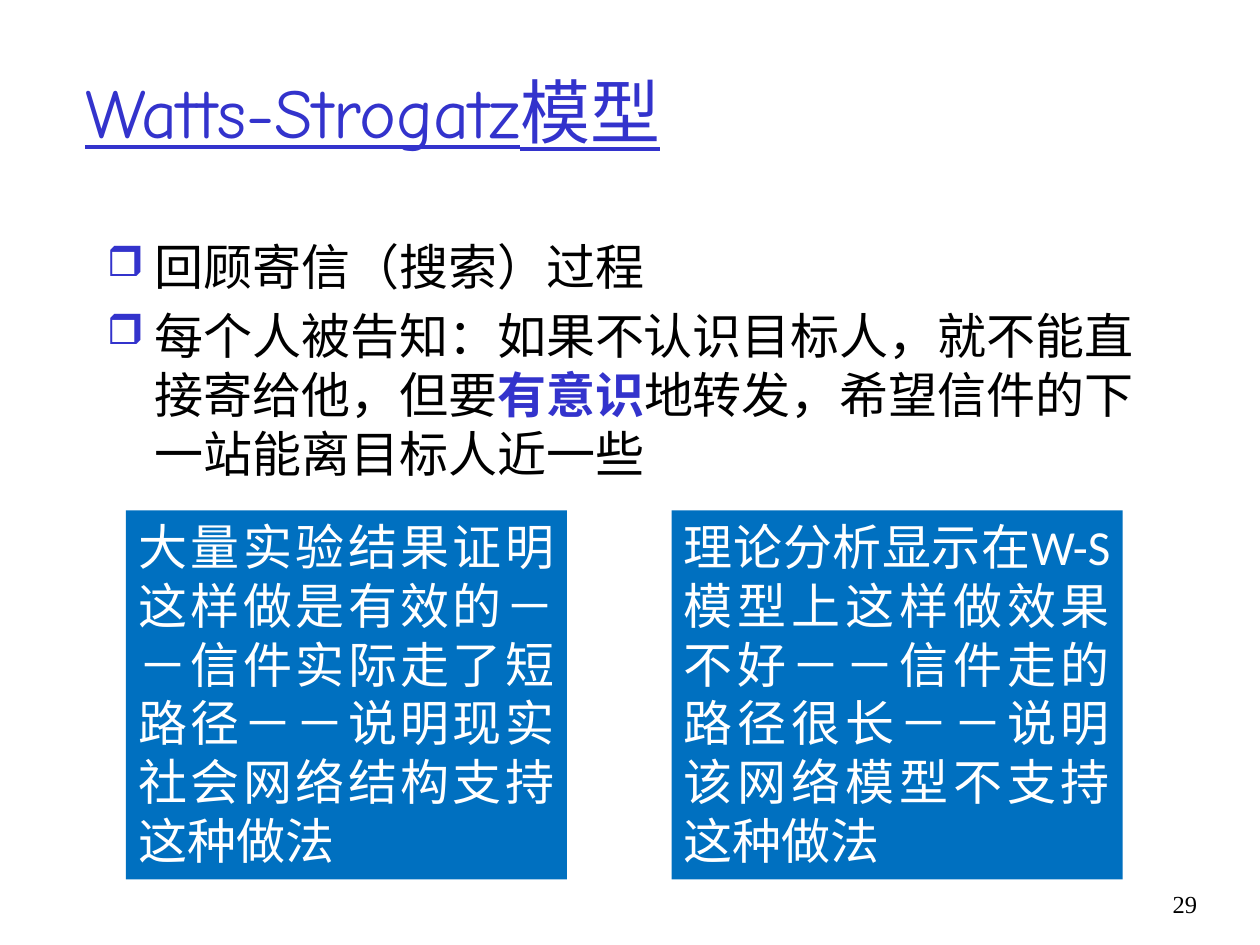
from dataclasses import dataclass
from typing import Optional

from lxml import etree
from pptx import Presentation
from pptx.dml.color import RGBColor
from pptx.enum.shapes import MSO_SHAPE
from pptx.enum.text import MSO_ANCHOR, PP_ALIGN
from pptx.oxml.ns import qn
from pptx.util import Pt

RECTANGLE = MSO_SHAPE.RECTANGLE
TOP, MIDDLE = MSO_ANCHOR.TOP, MSO_ANCHOR.MIDDLE
LEFT, RIGHT, JUSTIFY = PP_ALIGN.LEFT, PP_ALIGN.RIGHT, PP_ALIGN.JUSTIFY

EMU_PER_PX = 9144  # 100 px to the inch
BLUE, PANEL_BLUE, BLACK, WHITE = "3333CC", "0070C0", "000000", "FFFFFF"
COMIC, CHINESE, LATIN, SERIF = (
    "Comic Neue", "Noto Sans CJK SC", "Calibri", "Times New Roman")


@dataclass
class Span:
    text: str
    font: str
    size: int = 28
    color: str = BLACK
    bold: bool = False
    underline: bool = False


@dataclass
class Box:
    left: int
    top: int
    width: int
    height: int
    paragraphs: list[list[Span]]
    align: PP_ALIGN = LEFT
    anchor: MSO_ANCHOR = TOP
    fill: Optional[str] = None
    bulleted: bool = False


def px(length: int) -> int:
    return length * EMU_PER_PX


def rgb(color: str) -> RGBColor:
    return RGBColor.from_string(color)


def add_bullet(para) -> None:
    properties = para._p.get_or_add_pPr()
    properties.set("marL", str(px(38)))
    properties.set("indent", str(px(-38)))
    bullet_color = etree.SubElement(properties, qn("a:buClr"))
    etree.SubElement(bullet_color, qn("a:srgbClr"), val=BLUE)
    etree.SubElement(properties, qn("a:buSzPct"), val="85000")
    etree.SubElement(properties, qn("a:buChar"), char="❒")


def add_span(para, span: Span) -> None:
    run = para.add_run()
    run.text = span.text
    font = run.font
    font.name, font.size = span.font, Pt(span.size)
    font.bold, font.underline = span.bold, span.underline
    font.color.rgb = rgb(span.color)
    east_asian = etree.Element(qn("a:ea"), typeface=CHINESE)
    run._r.rPr.find(qn("a:latin")).addnext(east_asian)


def draw_box(slide, box: Box) -> None:
    place = [px(n) for n in (box.left, box.top, box.width, box.height)]
    if box.fill:
        shape = slide.shapes.add_shape(RECTANGLE, *place)
        shape.shadow.inherit = False
        shape.fill.solid()
        shape.fill.fore_color.rgb = rgb(box.fill)
        shape.line.fill.background()
    else:
        shape = slide.shapes.add_textbox(*place)
    frame = shape.text_frame
    frame.word_wrap = True
    frame.vertical_anchor = box.anchor
    for index, spans in enumerate(box.paragraphs):
        para = frame.add_paragraph() if index else frame.paragraphs[0]
        para.alignment = box.align
        if box.bulleted:
            add_bullet(para)
        if index:
            para.space_before = Pt(5.6)
        for span in spans:
            add_span(para, span)


def panel(left: int, width: int, spans: list[Span]) -> Box:
    return Box(left, 405, width, 293, [spans], align=JUSTIFY, fill=PANEL_BLUE)


BOXES = [
    # Title
    Box(58, 25, 850, 125,
        [[Span("Watts-Strogatz模型", COMIC, 40, BLUE, underline=True)]],
        anchor=MIDDLE),
    # Bulleted body
    Box(75, 183, 850, 207, [
        [Span("回顾寄信（搜索）过程", COMIC)],
        [Span("每个人被告知：如果不认识目标人，就不能直接寄给他，但要", COMIC),
         Span("有意识", COMIC, color=BLUE, bold=True),
         Span("地转发，希望信件的下一站能离目标人近一些", COMIC)],
    ], bulleted=True),
    # Page number
    Box(886, 701, 74, 31, [[Span("29", SERIF, 14)]], align=RIGHT),
    # Experiment and theory panels
    panel(100, 350, [
        Span("大量实验结果证明这样做是有效的－－信件实际走了短路径"
             "－－说明现实社会网络结构支持这种做法", CHINESE, color=WHITE)]),
    panel(533, 358, [
        Span("理论分析显示在", CHINESE, color=WHITE),
        Span("W-S", LATIN, color=WHITE),
        Span("模型上这样做效果不好－－信件走的路径很长"
             "－－说明该网络模型不支持这种做法", CHINESE, color=WHITE)]),
]


def main() -> None:
    deck = Presentation()
    deck.slide_width, deck.slide_height = px(1000), px(750)
    page = deck.slides.add_slide(deck.slide_layouts[6])
    for box in BOXES:
        draw_box(page, box)
    deck.save("out.pptx")


if __name__ == "__main__":
    main()
